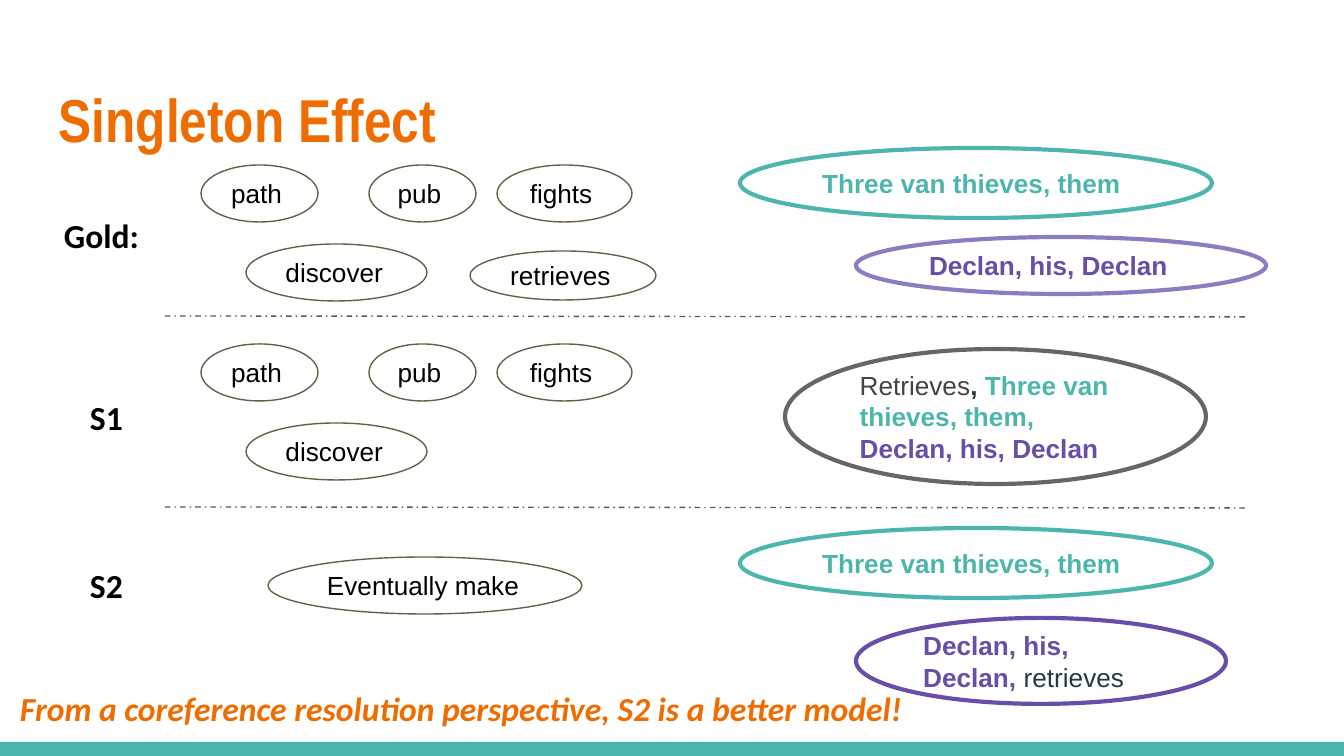
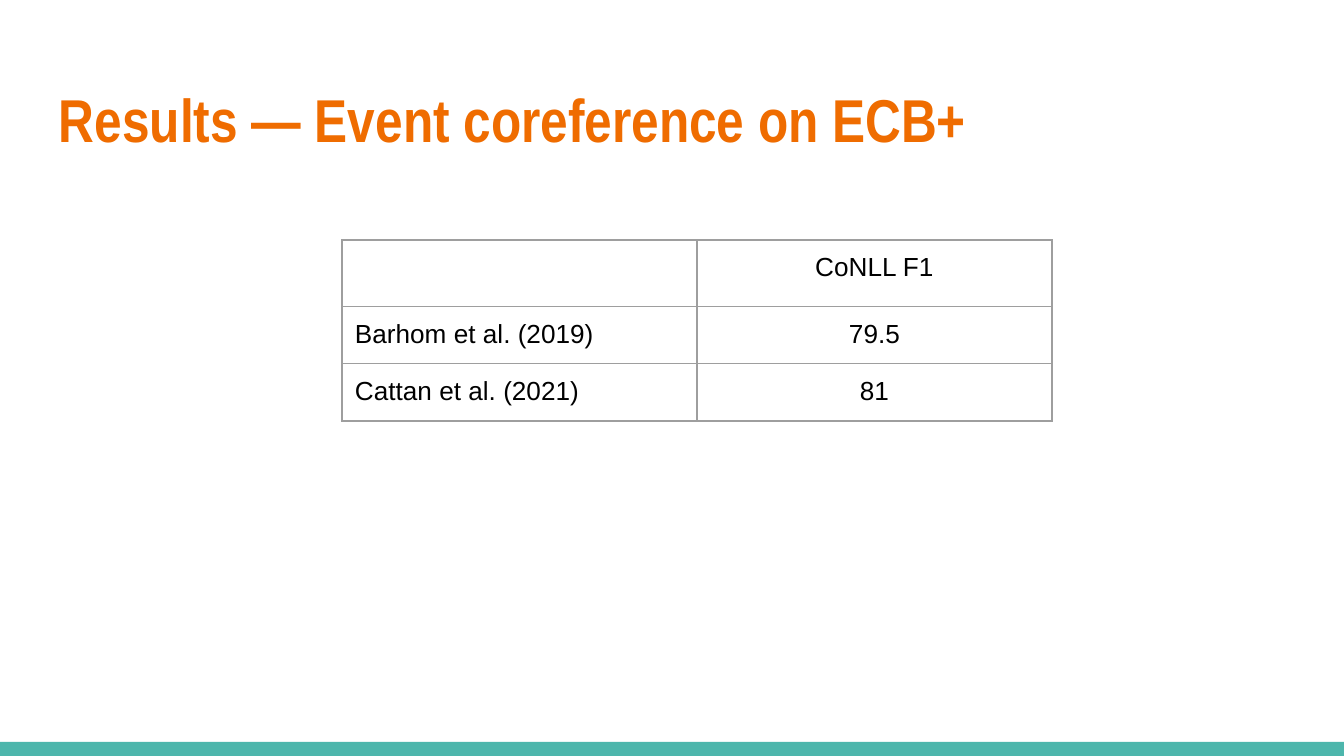
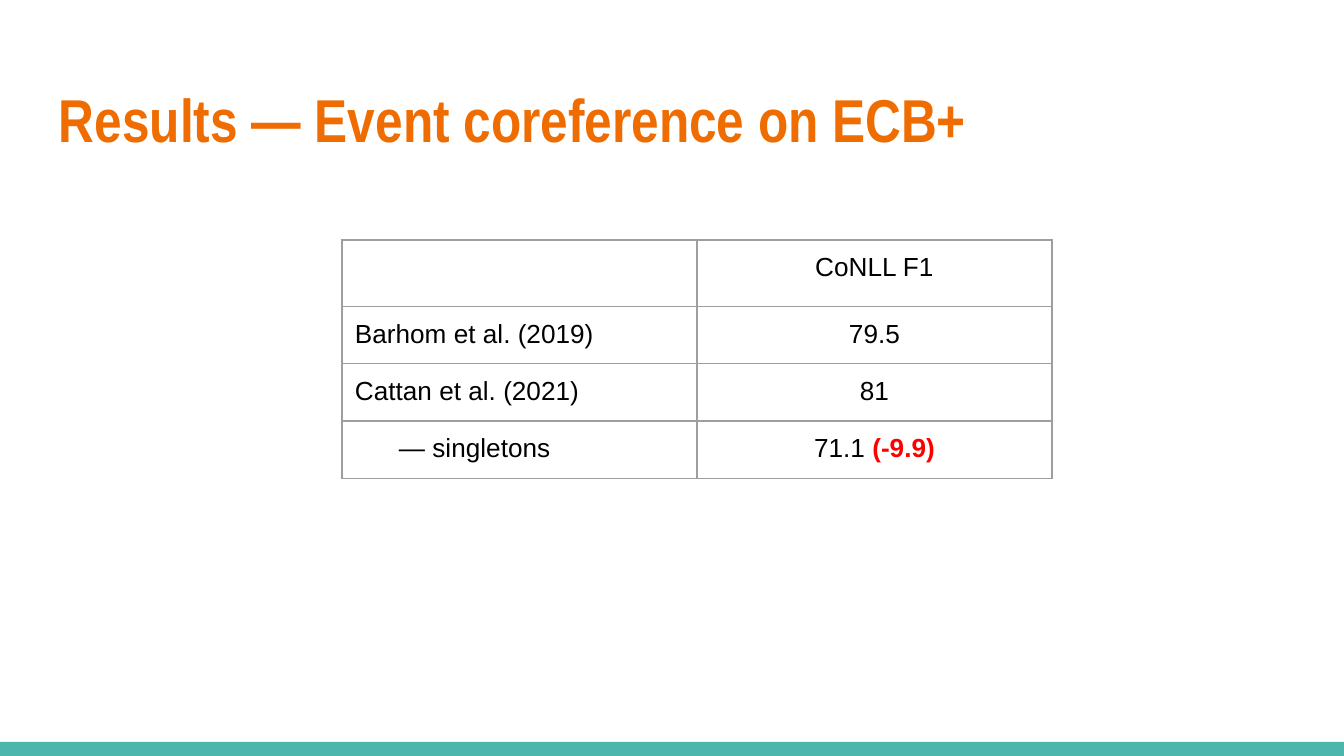
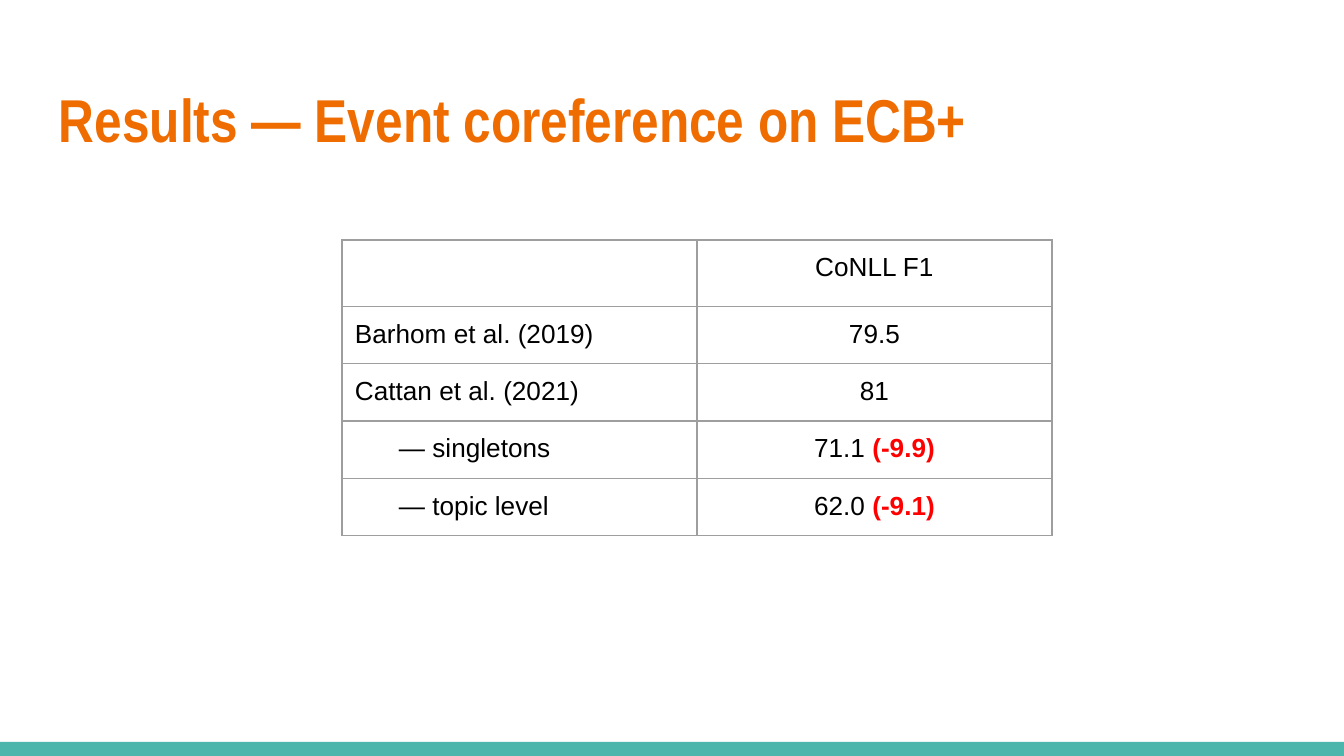
from lxml import etree
from pptx import Presentation
from pptx.dml.color import RGBColor
from pptx.enum.dml import MSO_LINE
from pptx.enum.shapes import MSO_CONNECTOR, MSO_SHAPE
from pptx.enum.text import MSO_ANCHOR, PP_ALIGN
from pptx.oxml.ns import qn
from pptx.util import Pt

OVAL = MSO_SHAPE.OVAL
RECT = MSO_SHAPE.RECTANGLE
STRAIGHT = MSO_CONNECTOR.STRAIGHT
DASH = MSO_LINE.DASH_DOT
TOP, MIDDLE = MSO_ANCHOR.TOP, MSO_ANCHOR.MIDDLE
LEFT, CENTER = PP_ALIGN.LEFT, PP_ALIGN.CENTER

SCALE = 914400 / 134.4
COLORS = {
    "teal": "4DB6AC", "orange": "EF6C00", "black": "000000", "lilac": "8E7CC3",
    "purple": "674EA7", "gray": "666666", "rule": "595959", "dark": "434343",
    "ink": "233A44", "brown": "695D46", "grid": "9E9E9E", "red": "FF0000",
}
RGB = {name: RGBColor.from_string(code) for name, code in COLORS.items()}
PAD = 13


def px(*sizes):
    return [round(size * SCALE) for size in sizes]


def write(frame, runs, font="Arial", size=14, italic=False, anchor=TOP, align=LEFT):
    frame.word_wrap = True
    frame.vertical_anchor = anchor
    pad = px(PAD)[0]
    frame.margin_left = frame.margin_right = pad
    frame.margin_top = frame.margin_bottom = pad
    para = frame.paragraphs[0]
    para.alignment = align
    for text, color, bold in runs:
        run = para.add_run()
        run.text = text
        run.font.name = font
        run.font.size = Pt(size)
        run.font.bold = bold
        run.font.italic = italic
        run.font.color.rgb = RGB[color]


deck = Presentation()
deck.slide_width, deck.slide_height = px(1344, 756)
RESULTS = "Results — Event coreference on ECB+"
slides = []
for title in ["Singleton Effect", RESULTS, RESULTS, RESULTS]:
    slide = deck.slides.add_slide(deck.slide_layouts[6])
    band = slide.shapes.add_shape(RECT, *px(0, 742, 1344, 14))
    band.shadow.inherit = False
    band.fill.solid()
    band.fill.fore_color.rgb = RGB["teal"]
    band.line.fill.background()
    box = slide.shapes.add_textbox(*px(46, 66, 1253, 104))
    write(box.text_frame, [(title, "orange", True)], "Arial Narrow", 32.4, anchor=MIDDLE)
    slides.append(slide)

shapes = slides[0].shapes
labels = [
    ("Gold:", 51, 202, 134, 71, "black", False),
    ("S1", 77, 384, 69, 57, "black", False),
    ("S2", 77, 552, 69, 57, "black", False),
    ("From a coreference resolution perspective, S2 is a better model!",
     7, 675, 1044, 71, "orange", True),
]
for text, x, y, w, h, color, italic in labels:
    box = shapes.add_textbox(*px(x, y, w, h))
    write(box.text_frame, [(text, color, True)], "Calibri", 18, italic)

for y in (316, 507):
    rule = shapes.add_connector(STRAIGHT, *px(165, y, 1248, y + 1))
    rule.line.color.rgb = RGB["rule"]
    rule.line.width = Pt(0.75)
    rule.line.dash_style = DASH
    etree.SubElement(rule._element.spPr, qn("a:effectLst"))

thieves = [("Three van thieves, them", "teal", True)]
mixed = [
    ("Retrieves", "dark", False),
    (", ", "ink", True),
    ("Three van thieves, them, ", "teal", True),
    ("Declan, his, Declan", "purple", True),
]
wrong = [("Declan, his, Declan, ", "purple", True), ("retrieves", "ink", False)]
ovals = [
    (740, 148, 472, 70, "teal", 2.25, thieves),
    (856, 237, 410, 57, "lilac", 2.25, [("Declan, his, Declan", "purple", True)]),
    (785, 349, 421, 135, "gray", 2.25, mixed),
    (740, 528, 472, 70, "teal", 2.25, thieves),
    (856, 618, 370, 86, "purple", 2.25, wrong),
]
words = [("retrieves", 470, 251, 186, 49), ("Eventually make", 268, 557, 314, 57)]
for y in (165, 344):
    words += [
        ("path", 201, y, 117, 57),
        ("pub", 369, y, 107, 57),
        ("fights", 497, y, 135, 57),
        ("discover", 246, y + 79, 181, 57),
    ]
for text, *spot in words:
    ovals.append((*spot, "brown", 0.75, [(text, "black", False)]))
for x, y, w, h, edge, width, runs in ovals:
    oval = shapes.add_shape(OVAL, *px(x, y, w, h))
    oval.shadow.inherit = False
    oval.fill.background()
    oval.line.color.rgb = RGB[edge]
    oval.line.width = Pt(width)
    write(oval.text_frame, runs, anchor=MIDDLE)

scores = [
    ("", "CoNLL F1", ""),
    ("Barhom et al. (2019)", "79.5", ""),
    ("Cattan et al. (2021)", "81", ""),
    ("— singletons", "71.1 ", "(-9.9)"),
    ("— topic level", "62.0 ", "(-9.1)"),
]
for slide, count in zip(slides[1:], (3, 4, 5)):
    high = 64 + 56 * (count - 1)
    table = slide.shapes.add_table(count, 2, *px(342, 240, 710, high)).table
    table.first_row = table.horz_banding = False
    for col in table.columns:
        col.width = px(355)[0]
    for i, (name, score, drop) in enumerate(scores[:count]):
        table.rows[i].height = px(56 if i else 64)[0]
        value = [(score, "black", False)]
        if drop:
            value.append((drop, "red", True))
        label = [(name, "black", False)] if name else []
        for j, (runs, align) in enumerate([(label, LEFT), (value, CENTER)]):
            cell = table.cell(i, j)
            write(cell.text_frame, runs, align=align)
            cell.margin_left, cell.margin_right = px(PAD, PAD)
            cell.margin_top, cell.margin_bottom = px(PAD, PAD)
            props = cell._tc.get_or_add_tcPr()
            for side in ("lnL", "lnR", "lnT", "lnB"):
                edge = etree.SubElement(props, qn("a:" + side), w=str(Pt(0.75)))
                fill = etree.SubElement(edge, qn("a:solidFill"))
                etree.SubElement(fill, qn("a:srgbClr"), val=COLORS["grid"])
            cell.fill.background()
        if drop:
            para = table.cell(i, 0).text_frame.paragraphs[0]
            para._p.get_or_add_pPr().set("marL", str(px(44)[0]))

deck.save("out.pptx")
